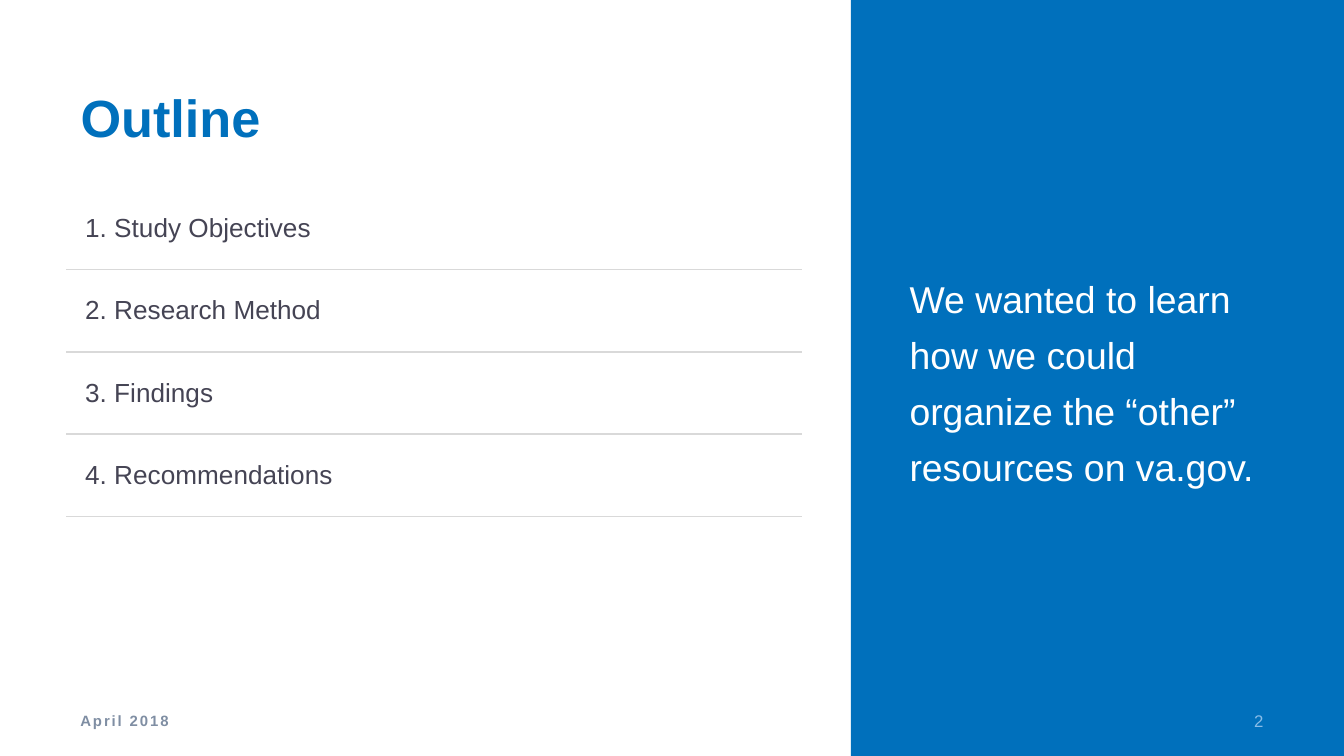
from lxml import etree
from pptx import Presentation
from pptx.dml.color import RGBColor
from pptx.enum.shapes import MSO_SHAPE
from pptx.enum.text import MSO_ANCHOR, PP_ALIGN
from pptx.oxml.ns import qn
from pptx.util import Cm, Pt

RECTANGLE = MSO_SHAPE.RECTANGLE
MIDDLE = MSO_ANCHOR.MIDDLE
LEFT, RIGHT = PP_ALIGN.LEFT, PP_ALIGN.RIGHT

COLORS = {
    "blue": "0070BC",
    "white": "FFFFFF",
    "text": "454454",
    "rule": "D9D9D9",
    "number": "89BDE8",
    "date": "7F8EA3",
}
FORMATS = {
    "title": {"size": Pt(28), "bold": True, "color": "blue"},
    "topic": {"size": Pt(14), "bold": False, "color": "text"},
    "message": {"size": Pt(20), "bold": False, "color": "white"},
    "number": {"size": Pt(9), "bold": False, "color": "number"},
    "date": {"size": Pt(8), "bold": True, "color": "date"},
}
TOPICS = ["Study Objectives", "Research Method", "Findings", "Recommendations"]


def rgb(name):
    return RGBColor.from_string(COLORS[name])


def write(frame, text, style, align=LEFT):
    """Put one formatted span in a text frame or table cell; return its paragraph."""
    frame.word_wrap = True
    frame.vertical_anchor = MIDDLE
    para = frame.paragraphs[0]
    para.alignment = align
    span = para.add_run()
    span.text = text
    span.font.name = "Arial"
    for key, value in FORMATS[style].items():
        if key == "color":
            span.font.color.rgb = rgb(value)
        else:
            setattr(span.font, key, value)
    return para


def add_text(page, box, text, style, align=LEFT):
    return write(page.shapes.add_textbox(*box).text_frame, text, style, align)


def set_borders(cell, top):
    """Draw the cell's four sides; they go before the fill in its properties."""
    sides = {"lnL": "white", "lnR": "white", "lnT": top, "lnB": "rule"}
    properties = cell._tc.get_or_add_tcPr()
    for position, (tag, color) in enumerate(sides.items()):
        line = etree.Element(qn(f"a:{tag}"), w=str(Pt(1)))
        fill = etree.SubElement(line, qn("a:solidFill"))
        etree.SubElement(fill, qn("a:srgbClr"), val=COLORS[color])
        properties.insert(position, line)


def add_title(page, box, text):
    title = page.shapes.title
    title.left, title.top, title.width, title.height = box
    para = write(title.text_frame, text, "title")
    para.line_spacing = 0.8


def add_topics(page, box):
    left, top, width, height = box
    table = page.shapes.add_table(len(TOPICS), 2, left, top, width, height).table
    table.first_row = table.horz_banding = False
    table.columns[0].width = int(width * 0.8)
    table.columns[1].width = width - table.columns[0].width
    for index, topic in enumerate(TOPICS):
        table.rows[index].height = height // len(TOPICS)
        for cell in table.rows[index].cells:
            cell.fill.background()
            cell.margin_left = cell.margin_right = Cm(0.34)
            cell.margin_top = cell.margin_bottom = Cm(0.13)
            set_borders(cell, "rule" if index else "white")
        cell = table.cell(index, 0)
        cell.vertical_anchor = MIDDLE
        write(cell.text_frame, f"{index + 1}. {topic}", "topic")
        cell.vertical_anchor = MIDDLE


def add_sidebar(page, box):
    left, top, width, height = box
    panel = page.shapes.add_shape(RECTANGLE, *box)
    panel.shadow.inherit = False
    panel.fill.solid()
    panel.fill.fore_color.rgb = rgb("blue")
    panel.line.fill.background()
    message_box = (left + Cm(0.86), top + Cm(1.42), Cm(7.2), Cm(11.43))
    para = add_text(
        page, message_box,
        "We wanted to learn how we could organize the “other” resources on va.gov.",
        "message",
    )
    para.line_spacing = 1.25
    para.space_after = Pt(6)


def add_footer(page, box):
    left, top, width, height = box
    date = add_text(page, (left, top, Cm(5.72), height), "April 2018", "date")
    date.runs[0].font._element.set("spc", "100")
    number_width = Cm(1.9)
    number_box = (left + width - number_width, top, number_width, height)
    add_text(page, number_box, "2", "number", RIGHT)


def main():
    deck = Presentation()
    deck.slide_width, deck.slide_height = Cm(25.4), Cm(14.29)
    page = deck.slides.add_slide(deck.slide_layouts[5])
    margin, column = Cm(1.27), Cm(13.88)
    split = Cm(16.08)
    add_sidebar(page, (split, 0, deck.slide_width - split, deck.slide_height))
    add_title(page, (margin, Cm(1.42), column, Cm(1.8)), "Outline")
    add_topics(page, (margin, Cm(3.54), column, Cm(6.22)))
    add_footer(page, (margin, Cm(13.24), deck.slide_width - 2 * margin, Cm(0.76)))
    deck.save("out.pptx")


if __name__ == "__main__":
    main()
